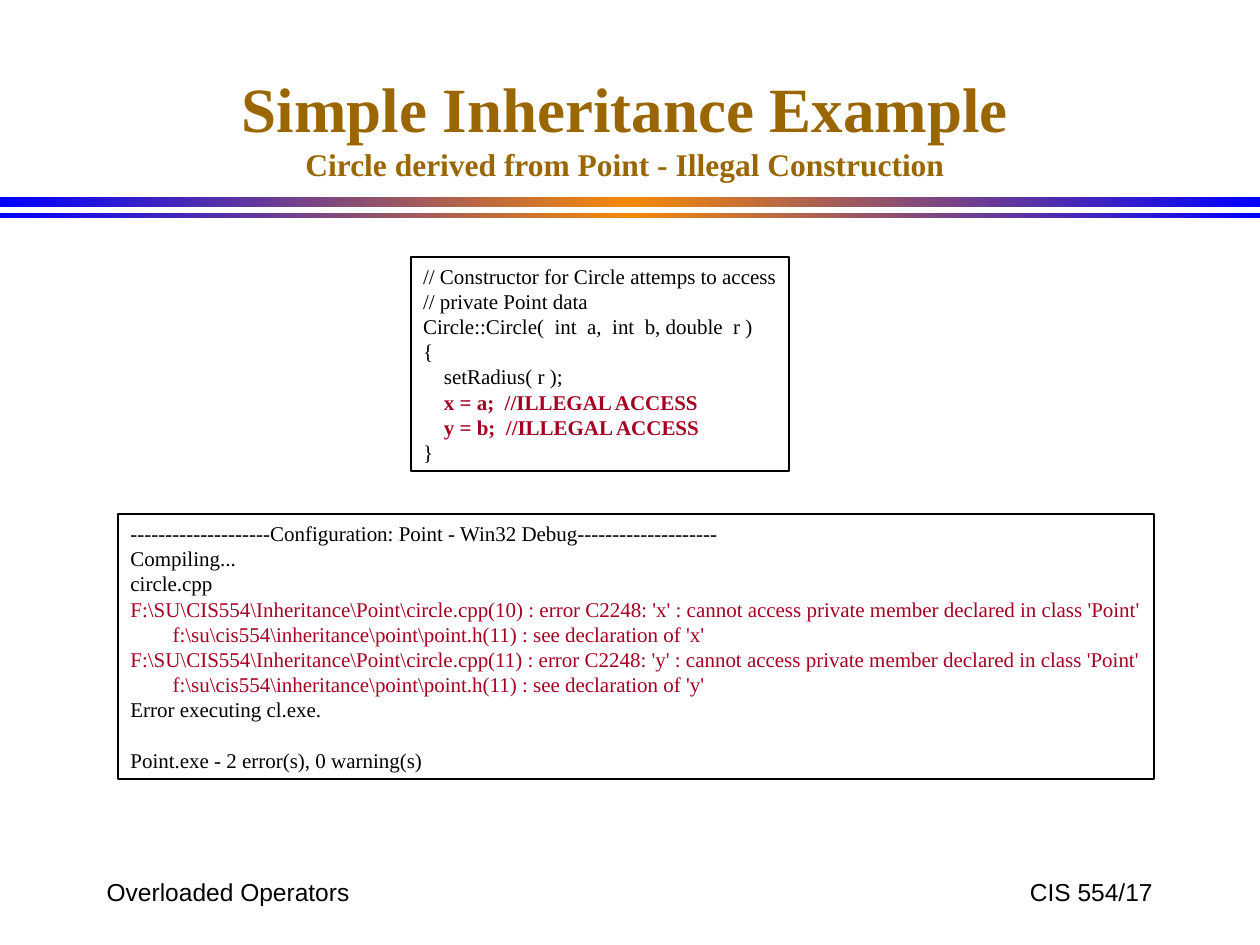
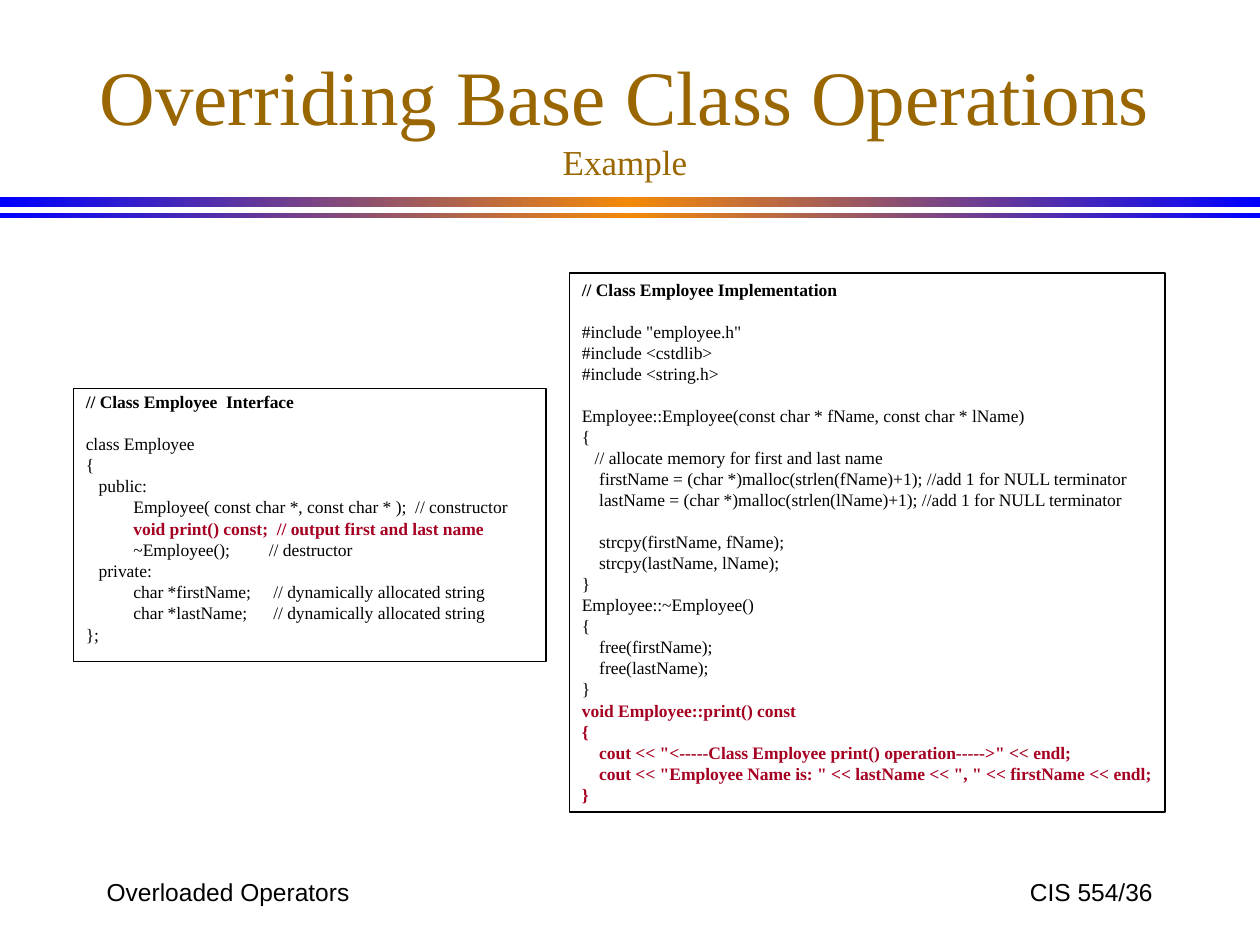
from copy import deepcopy
from dataclasses import dataclass

from lxml.etree import SubElement
from pptx import Presentation
from pptx.dml.color import RGBColor as RGB
from pptx.enum.shapes import MSO_SHAPE as SHAPE
from pptx.enum.text import MSO_ANCHOR as ANCHOR, MSO_AUTO_SIZE as AUTOSIZE, PP_ALIGN as ALIGN
from pptx.oxml.ns import qn
from pptx.util import Cm, Pt


@dataclass(frozen=True)
class Theme:
    serif: str = "Times New Roman"
    sans: str = "Arial"
    ink: str = "000000"
    alert: str = "A50021"
    heading: str = "996600"
    band_edge: str = "0000FF"
    band_middle: str = "F38909"
    footer_size: int = 14
    listing_size: int = 12
    small_listing_size: int = 10


THEME = Theme()


def write(frame, lines, **base):
    """Fill a frame; each line is a text or (text, format overrides)."""
    for number, line in enumerate(lines):
        text, changes = (line, {}) if isinstance(line, str) else line
        look = {"font": THEME.serif, "color": THEME.ink, "bold": False, "align": ALIGN.LEFT,
                "indent": 0, "hang": 0, "before": 0, "spacing": 1.0, **base, **changes}
        para = frame.paragraphs[0] if number == 0 else frame.add_paragraph()
        para.alignment = look["align"]
        para.space_before = Pt(look["before"])
        para.line_spacing = look["spacing"]
        # The first line starts at the indent; a tab in it leads to indent + hang
        props = para._p.get_or_add_pPr()
        props.set("marL", str(Cm(look["indent"] + look["hang"])))
        props.set("indent", str(Cm(-look["hang"])))
        # A line break takes the size of the text above it
        sizes = look["size"] if isinstance(look["size"], tuple) else (look["size"],)
        for part, (words, size) in enumerate(zip(text.split("\n"), sizes)):
            if part:
                SubElement(para._p.add_br(), qn("a:rPr"), sz=str(sizes[part - 1] * 100))
            run = para.add_run()
            run.text = words
            run.font.name = look["font"]
            run.font.size = Pt(size)
            run.font.bold = look["bold"]
            run.font.color.rgb = RGB.from_string(look["color"])


def add_block(slide, place, fill=None, border=None):
    """Add a plain rectangle, either a gradient band or a bordered box."""
    block = slide.shapes.add_shape(SHAPE.RECTANGLE, *map(Cm, place))
    block.shadow.inherit = False
    if fill:
        block.fill.gradient()
        block.fill.gradient_angle = 0
        for stop in block.fill.gradient_stops:
            stop.color.rgb = RGB.from_string(fill[0])
        stops = block._element.spPr.find(".//" + qn("a:gsLst"))
        middle = deepcopy(stops[0])
        middle.set("pos", "50000")
        middle[0].set("val", fill[1])
        stops.insert(1, middle)
    else:
        block.fill.background()
    if border:
        block.line.color.rgb = RGB.from_string(border[0])
        block.line.width = Pt(border[1])
    else:
        block.line.fill.background()
    block.text_frame.vertical_anchor = ANCHOR.TOP
    return block


# Line formats used in the listings
RED = {"color": THEME.alert}
BOLD = {"bold": True}
RED_BOLD = {**RED, **BOLD}
STEP = {"indent": 0.42}
DETAIL = {"indent": 0.85, **RED}
GAP = {"before": 14.4}
SMALL_STEP = {"indent": 0.35}
SMALL_GAP = {"before": 12}
LABEL = {"indent": 0.26}
MEMBER = {"indent": 0.96}
FIELD = {**MEMBER, "hang": 2.82}

# Slide 1 listings
constructor = [
    "// Constructor for Circle attemps to access",
    "// private Point data",
    "Circle::Circle(  int  a,  int  b, double  r )",
    "{",
    ("setRadius( r );", STEP),
    ("x = a;  //ILLEGAL ACCESS", {**STEP, **RED_BOLD}),
    ("y = b;  //ILLEGAL ACCESS", {**STEP, **RED_BOLD}),
    "}",
]
dashes = "-" * 20
compiler_output = [f"{dashes}Configuration: Point - Win32 Debug{dashes}", "Compiling...", "circle.cpp"]
for source_line, member in ((10, "x"), (11, "y")):
    compiler_output += [
        (f"F:\\SU\\CIS554\\Inheritance\\Point\\circle.cpp({source_line}) : error C2248: '{member}' : "
         "cannot access private member declared in class 'Point'", RED),
        (f"f:\\su\\cis554\\inheritance\\point\\point.h(11) : see declaration of '{member}'", DETAIL),
    ]
compiler_output += ["Error executing cl.exe.", ("Point.exe - 2 error(s), 0 warning(s)", GAP)]

# Slide 2 listings
implementation = [
    ("// Class Employee Implementation", BOLD),
    ('#include "employee.h"', SMALL_GAP),
    "#include <cstdlib>",
    "#include <string.h>",
    ("Employee::Employee(const char * fName, const char * lName)", SMALL_GAP),
    "{",
    ("// allocate memory for first and last name", LABEL),
    ("firstName = (char *)malloc(strlen(fName)+1); //add 1 for NULL terminator", SMALL_STEP),
    ("lastName = (char *)malloc(strlen(lName)+1); //add 1 for NULL terminator", SMALL_STEP),
    ("strcpy(firstName, fName);", {**SMALL_STEP, **SMALL_GAP}),
    ("strcpy(lastName, lName);", SMALL_STEP),
    "}",
    "Employee::~Employee()",
    "{",
    ("free(firstName);", SMALL_STEP),
    ("free(lastName);", SMALL_STEP),
    "}",
    ("void Employee::print() const", RED_BOLD),
    ("{", RED_BOLD),
    ('cout << "<-----Class Employee print() operation----->" << endl;', {**SMALL_STEP, **RED_BOLD}),
    ('cout << "Employee Name is: " << lastName << ", " << firstName << endl;',
     {**SMALL_STEP, **RED_BOLD}),
    ("}", RED_BOLD),
]
interface = [
    ("// Class Employee  Interface", BOLD),
    ("class Employee", {"before": 14.6}),
    "{",
    ("public:", LABEL),
    ("Employee( const char *, const char * );  // constructor", MEMBER),
    ("void print() const;  // output first and last name", {**MEMBER, **RED_BOLD}),
    ("~Employee();\t// destructor", {**MEMBER, "hang": 2.73}),
    ("private:", LABEL),
    ("char *firstName;\t// dynamically allocated string", FIELD),
    ("char *lastName;\t// dynamically allocated string", FIELD),
    "};",
]

# Each listing: place, border width, wraps, lines, format
large = {"size": THEME.listing_size}
small = {"size": THEME.small_listing_size}
pages = [
    {"number": 17, "title": "Simple Inheritance Example\nCircle derived from Point - Illegal Construction",
     "title_look": {"size": (36, 18), "bold": True},
     "listings": [((8.28, 5.18, 7.62, 4.32), 1, False, constructor, large),
                  ((2.38, 10.37, 20.89, 5.33), 1, False, compiler_output, large)]},
    {"number": 36, "title": "Overriding Base Class Operations\nExample",
     "title_look": {"size": (44, 20)},
     "listings": [((11.48, 5.5, 12.0, 10.87), 1, False, implementation, small),
                  ((1.48, 7.83, 9.53, 5.5), 0.75, True, interface,
                   {**small, "spacing": 0.8, "before": 2.5})]},
]

deck = Presentation()
deck.slide_width, deck.slide_height = Cm(25.4), Cm(19.05)

for page in pages:
    slide = deck.slides.add_slide(deck.slide_layouts[5])

    # Double gradient band under the title
    for top, height in ((3.97, 0.2), (4.29, 0.1)):
        add_block(slide, (0, top, 25.4, height), fill=(THEME.band_edge, THEME.band_middle))

    # Footers, with the full width free on the side away from the margin
    for left, words, align in ((1.9, "Overloaded Operators", ALIGN.LEFT),
                               (18.21, f"CIS 554/{page['number']}", ALIGN.RIGHT)):
        footer = slide.shapes.add_textbox(Cm(left), Cm(17.35), Cm(5.28), Cm(1.27)).text_frame
        footer.word_wrap = False
        footer.vertical_anchor = ANCHOR.MIDDLE
        if align == ALIGN.LEFT:
            footer.margin_right = Cm(0)
        else:
            footer.margin_left = Cm(0)
        write(footer, [words], font=THEME.sans, size=THEME.footer_size, align=align)

    # Title and subtitle
    title = slide.shapes.title
    title.left, title.top, title.width, title.height = map(Cm, (1.7, 0.64, 21.8, 3.17))
    title.text_frame.auto_size = AUTOSIZE.NONE
    title.text_frame.vertical_anchor = ANCHOR.BOTTOM
    write(title.text_frame, [page["title"]], color=THEME.heading, align=ALIGN.CENTER,
          **page["title_look"])

    # Code and output listings; the tight ones may use their right margin
    for place, border_width, wraps, lines, look in page["listings"]:
        listing = add_block(slide, place, border=(THEME.ink, border_width)).text_frame
        listing.word_wrap = wraps
        listing.auto_size = AUTOSIZE.NONE
        if not wraps:
            listing.margin_right = Cm(0)
        write(listing, lines, **look)

deck.save("out.pptx")
